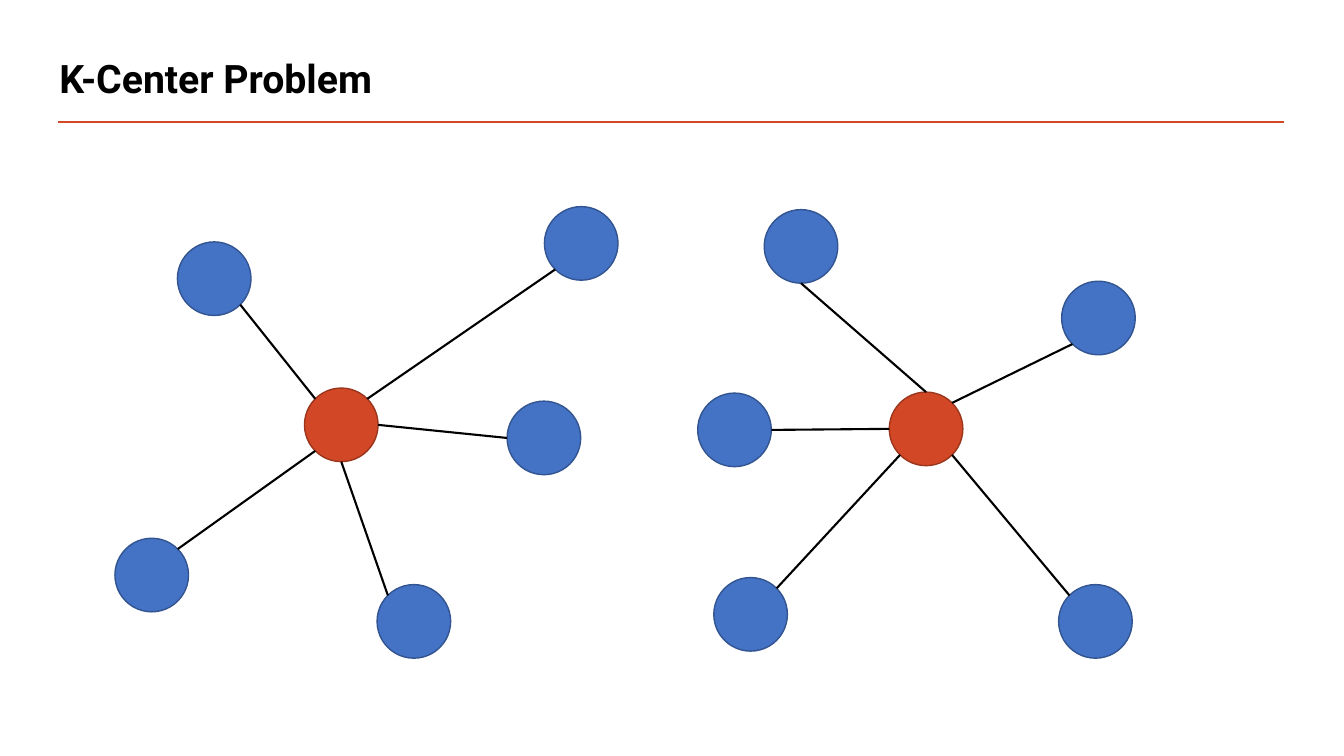
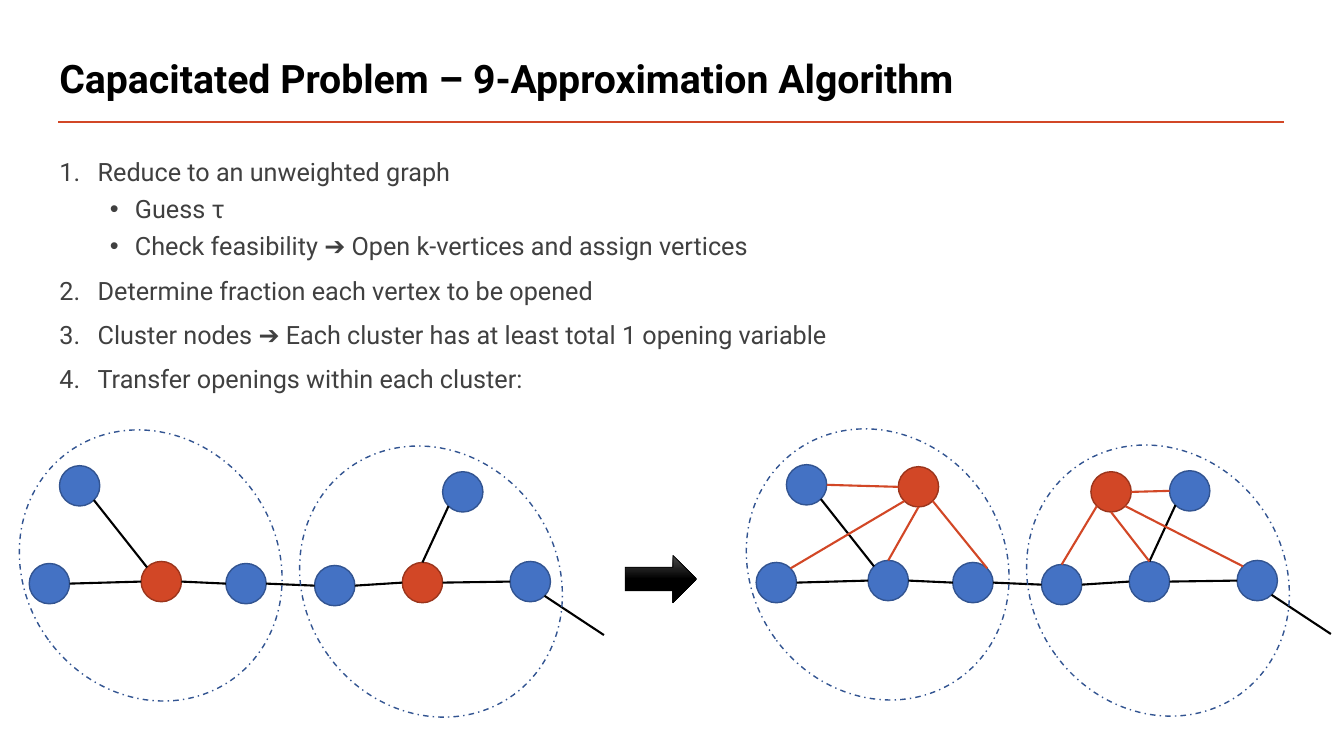
from dataclasses import dataclass
from enum import IntEnum
from math import cos, pi, sin

from lxml.etree import SubElement
from pptx import Presentation
from pptx.dml.color import RGBColor
from pptx.enum.dml import MSO_LINE
from pptx.enum.shapes import MSO_CONNECTOR, MSO_SHAPE
from pptx.enum.text import MSO_ANCHOR
from pptx.oxml.ns import qn
from pptx.util import Emu, Pt


@dataclass(frozen=True)
class Theme:
    font: str = "Roboto"
    title_size: int = 28
    body_size: int = 18
    black: RGBColor = RGBColor(0x00, 0x00, 0x00)
    body_text: RGBColor = RGBColor(0x40, 0x40, 0x40)
    accent: RGBColor = RGBColor(0xD2, 0x47, 0x26)
    accent_line: RGBColor = RGBColor(0x9B, 0x35, 0x1C)
    node: RGBColor = RGBColor(0x44, 0x72, 0xC4)
    node_line: RGBColor = RGBColor(0x32, 0x54, 0x91)
    arrow_shine: RGBColor = RGBColor(0x4B, 0x4B, 0x4B)
    rule_width: float = 2
    edge_width: float = 1.5
    outline_width: float = 1
    arrow_outline_width: float = 0.5


class Site(IntEnum):
    """Connection sites of an ellipse, counterclockwise from the top."""
    TOP = 0
    TOP_LEFT = 1
    LEFT = 2
    BOTTOM_LEFT = 3
    BOTTOM = 4
    BOTTOM_RIGHT = 5
    RIGHT = 6
    TOP_RIGHT = 7


THEME = Theme()
EMU_PER_PX = 9144
SLIDE_WIDTH, SLIDE_HEIGHT = 1333, 750

STAR_NODE_SIZE = 73
STARS = [
    {
        "hub": (302, 385),
        "spokes": [
            (Site.TOP_LEFT, (176, 240), Site.BOTTOM_RIGHT),
            (Site.BOTTOM_LEFT, (114, 534), Site.TOP_RIGHT),
            (Site.BOTTOM, (374, 580), Site.TOP_LEFT),
            (Site.TOP_RIGHT, (540, 205), Site.BOTTOM_LEFT),
            (Site.RIGHT, (503, 398), Site.LEFT),
        ],
    },
    {
        "hub": (882, 389),
        "spokes": [
            (Site.LEFT, (692, 390), Site.RIGHT),
            (Site.TOP, (758, 208), Site.BOTTOM),
            (Site.TOP_RIGHT, (1053, 279), Site.BOTTOM_LEFT),
            (Site.BOTTOM_LEFT, (708, 573), Site.TOP_RIGHT),
            (Site.BOTTOM_RIGHT, (1050, 580), Site.TOP_LEFT),
        ],
    },
]

STEPS = [
    (0, "Reduce to an unweighted graph"),
    (1, "Guess τ"),
    (1, "Check feasibility ➔ Open k-vertices and assign vertices"),
    (0, "Determine fraction each vertex to be opened"),
    (0, "Cluster nodes ➔ Each cluster has at least total 1 opening variable"),
    (0, "Transfer openings within each cluster:"),
]
# Per level: left margin px, hanging indent px, space before in points
STEP_LEVELS = [(38, 38, 10), (75, 25, 5)]

CLUSTER_NODE_SIZE = 40
CLUSTER_NODES = {
    "first top": (59, 462),
    "first left": (29, 559),
    "first center": (140, 557),
    "first right": (224, 559),
    "second left": (312, 561),
    "second center": (399, 558),
    "second top": (439, 468),
    "second right": (506, 557),
}
CLUSTER_CENTERS = {"first center", "second center"}
CLUSTER_EDGES = [
    ("first left", Site.RIGHT, "first center", Site.LEFT),
    ("first top", Site.BOTTOM_RIGHT, "first center", Site.TOP_LEFT),
    ("first center", Site.RIGHT, "first right", Site.LEFT),
    ("first right", Site.RIGHT, "second left", Site.LEFT),
    ("second left", Site.RIGHT, "second center", Site.LEFT),
    ("second top", Site.BOTTOM_LEFT, "second center", Site.TOP),
    ("second center", Site.RIGHT, "second right", Site.LEFT),
]
CLUSTER_OUTLINES = [(24, 422), (302, 438)]
CLUSTER_OUTLINE_SIZE = (251, 278)
CLUSTER_TILT = 324
TAIL_END = (599, 630)
TRANSFERRED_OFFSET = (721, -1)
OPENINGS = {"first opening": (170, 464), "second opening": (361, 469)}
OPENING_EDGES = [
    ("first top", Site.RIGHT, "first opening", Site.LEFT),
    ("first left", Site.TOP_RIGHT, "first opening", Site.BOTTOM_LEFT),
    ("first center", Site.TOP, "first opening", Site.BOTTOM),
    ("first right", Site.TOP_RIGHT, "first opening", Site.BOTTOM_RIGHT),
    ("second left", Site.TOP, "second opening", Site.BOTTOM_LEFT),
    ("second center", Site.TOP, "second opening", Site.BOTTOM),
    ("second top", Site.LEFT, "second opening", Site.RIGHT),
    ("second right", Site.TOP_LEFT, "second opening", Site.BOTTOM_RIGHT),
]


def px(length):
    return Emu(length * EMU_PER_PX)


def shifted(position, offset):
    return position[0] + offset[0], position[1] + offset[1]


def add_line(slide, start, end, color, width):
    """Draw a straight line between two points given in EMU."""
    line = slide.shapes.add_connector(MSO_CONNECTOR.STRAIGHT, *start, *end)
    line.line.color.rgb = color
    line.line.width = Pt(width)
    SubElement(line.element.spPr, qn("a:effectLst"))
    return line


def add_preset(slide, preset, position, size, line_color, line_width):
    shape = slide.shapes.add_shape(preset, *map(px, position), *map(px, size))
    shape.shadow.inherit = False
    shape.line.color.rgb = line_color
    shape.line.width = Pt(line_width)
    return shape


def add_node(slide, position, size, is_center=False):
    line_color = THEME.accent_line if is_center else THEME.node_line
    node = add_preset(slide, MSO_SHAPE.OVAL, position, (size, size),
                      line_color, THEME.outline_width)
    node.fill.solid()
    node.fill.fore_color.rgb = THEME.accent if is_center else THEME.node
    return node


def site_point(node, site):
    angle = site * pi / 4
    radius = node.width / 2
    return (Emu(round(node.left + radius - radius * sin(angle))),
            Emu(round(node.top + radius - radius * cos(angle))))


def attach(line, end_tag, node, site):
    """Record the join, as python-pptx knows only the four sites of a rectangle."""
    SubElement(line.element.nvCxnSpPr.cNvCxnSpPr, qn(end_tag),
               id=str(node.shape_id), idx=str(int(site)))


def add_edge(slide, start, start_site, end, end_site, color=THEME.black):
    line = add_line(slide, site_point(start, start_site), site_point(end, end_site),
                    color, THEME.edge_width)
    attach(line, "a:stCxn", start, start_site)
    attach(line, "a:endCxn", end, end_site)


def add_text_frame(slide, left, top, width, height, anchor):
    frame = slide.shapes.add_textbox(*map(px, (left, top, width, height))).text_frame
    frame.word_wrap = True
    frame.vertical_anchor = anchor
    return frame


def style_font(paragraph, size, color, bold=False):
    font = paragraph.font
    font.name = THEME.font
    font.size = Pt(size)
    font.color.rgb = color
    font.bold = bold


def add_titled_slide(presentation, title):
    slide = presentation.slides.add_slide(presentation.slide_layouts[6])
    add_line(slide, (px(58), px(121)), (px(1274), px(121)),
             THEME.accent, THEME.rule_width)
    paragraph = add_text_frame(slide, 49, 45, 1000, 70, MSO_ANCHOR.MIDDLE).paragraphs[0]
    paragraph.text = title
    paragraph.line_spacing = 0.9
    style_font(paragraph, THEME.title_size, THEME.black, bold=True)
    return slide


def add_steps(slide):
    frame = add_text_frame(slide, 49, 150, 805, 291, MSO_ANCHOR.TOP)
    for index, (level, text) in enumerate(STEPS):
        paragraph = frame.add_paragraph() if index else frame.paragraphs[0]
        paragraph.text = text
        paragraph.level = level
        margin, indent, space_before = STEP_LEVELS[level]
        paragraph.space_before = Pt(space_before)
        style_font(paragraph, THEME.body_size, THEME.body_text)
        properties = paragraph._p.get_or_add_pPr()
        properties.set("marL", str(px(margin)))
        properties.set("indent", str(-px(indent)))
        if level == 0:
            bullet = SubElement(properties, qn("a:buAutoNum"), type="arabicPeriod")
        else:
            SubElement(properties, qn("a:buFont"), typeface="Arial")
            bullet = SubElement(properties, qn("a:buChar"), char="•")
        # The schema wants the bullet before the default run properties
        properties.append(properties.find(qn("a:defRPr")))


def add_star(slide, hub, spokes):
    hub_node = add_node(slide, hub, STAR_NODE_SIZE, is_center=True)
    for hub_site, position, site in spokes:
        node = add_node(slide, position, STAR_NODE_SIZE)
        add_edge(slide, hub_node, hub_site, node, site)


def add_clusters(slide, offset, centers):
    """Draw both clusters and return their nodes by name."""
    nodes = {
        name: add_node(slide, shifted(position, offset), CLUSTER_NODE_SIZE, name in centers)
        for name, position in CLUSTER_NODES.items()
    }
    for start, start_site, end, end_site in CLUSTER_EDGES:
        add_edge(slide, nodes[start], start_site, nodes[end], end_site)
    tail_start = site_point(nodes["second right"], Site.BOTTOM_RIGHT)
    tail_end = tuple(map(px, shifted(TAIL_END, offset)))
    add_line(slide, tail_start, tail_end, THEME.black, THEME.edge_width)
    for position in CLUSTER_OUTLINES:
        outline = add_preset(slide, MSO_SHAPE.OVAL, shifted(position, offset),
                             CLUSTER_OUTLINE_SIZE, THEME.node_line, THEME.outline_width)
        outline.fill.background()
        outline.line.dash_style = MSO_LINE.DASH_DOT
        outline.rotation = CLUSTER_TILT
    return nodes


def add_openings(slide, offset, nodes):
    openings = {
        name: add_node(slide, shifted(position, offset), CLUSTER_NODE_SIZE, is_center=True)
        for name, position in OPENINGS.items()
    }
    for start, start_site, end, end_site in OPENING_EDGES:
        add_edge(slide, nodes[start], start_site, openings[end], end_site, THEME.accent)


def add_transfer_arrow(slide):
    arrow = add_preset(slide, MSO_SHAPE.RIGHT_ARROW, (620, 551), (71, 47),
                       THEME.black, THEME.arrow_outline_width)
    arrow.fill.gradient()
    arrow.fill.gradient_angle = 270
    shine, body = arrow.fill.gradient_stops
    shine.color.rgb, shine.position = THEME.arrow_shine, 0
    body.color.rgb, body.position = THEME.black, 0.5


def main():
    presentation = Presentation()
    presentation.slide_width = px(SLIDE_WIDTH)
    presentation.slide_height = px(SLIDE_HEIGHT)

    problem = add_titled_slide(presentation, "K-Center Problem")
    for star in STARS:
        add_star(problem, **star)

    algorithm = add_titled_slide(
        presentation, "Capacitated Problem – 9-Approximation Algorithm")
    add_steps(algorithm)
    add_clusters(algorithm, (0, 0), CLUSTER_CENTERS)
    add_transfer_arrow(algorithm)
    transferred = add_clusters(algorithm, TRANSFERRED_OFFSET, set())
    add_openings(algorithm, TRANSFERRED_OFFSET, transferred)

    presentation.save("out.pptx")


if __name__ == "__main__":
    main()
